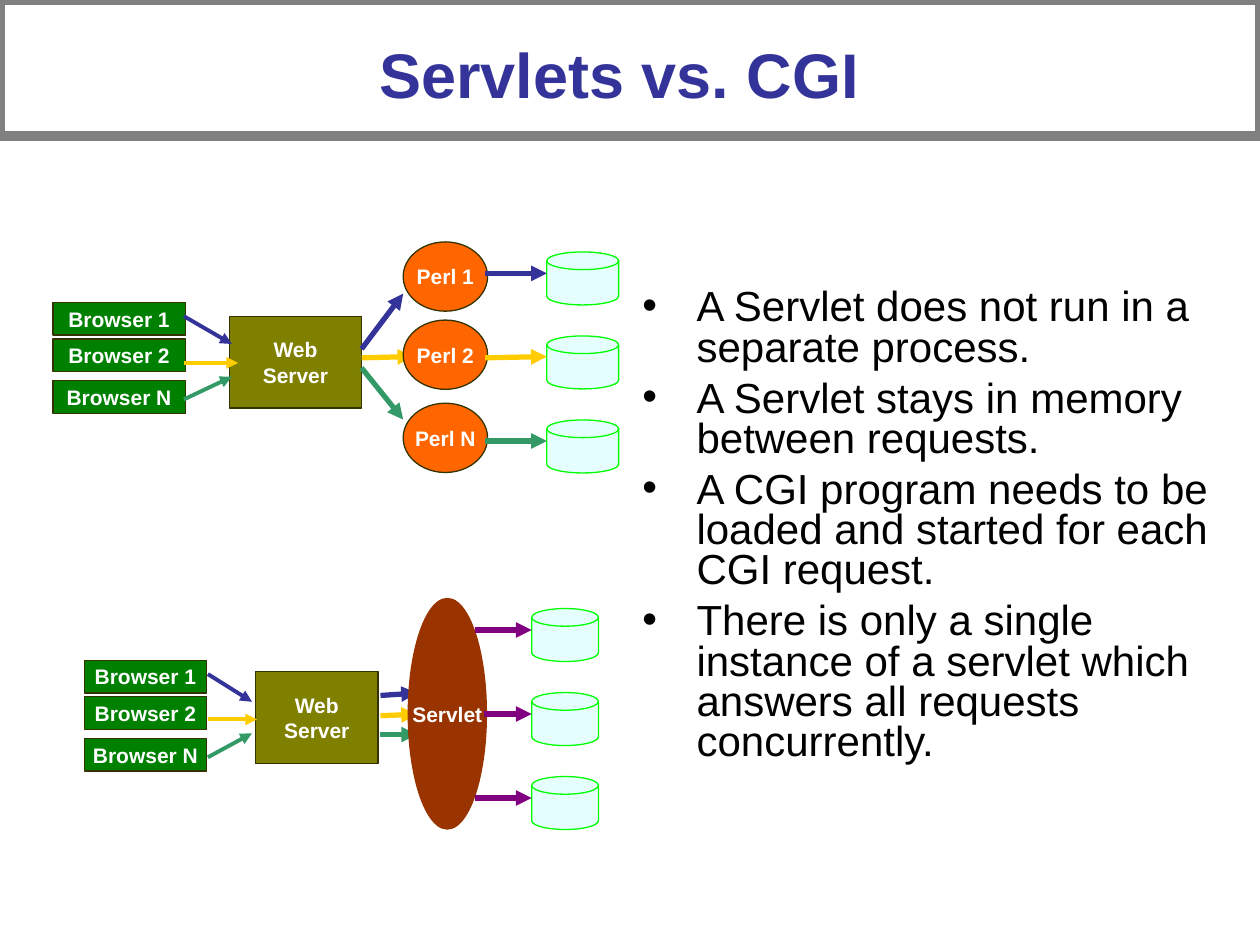
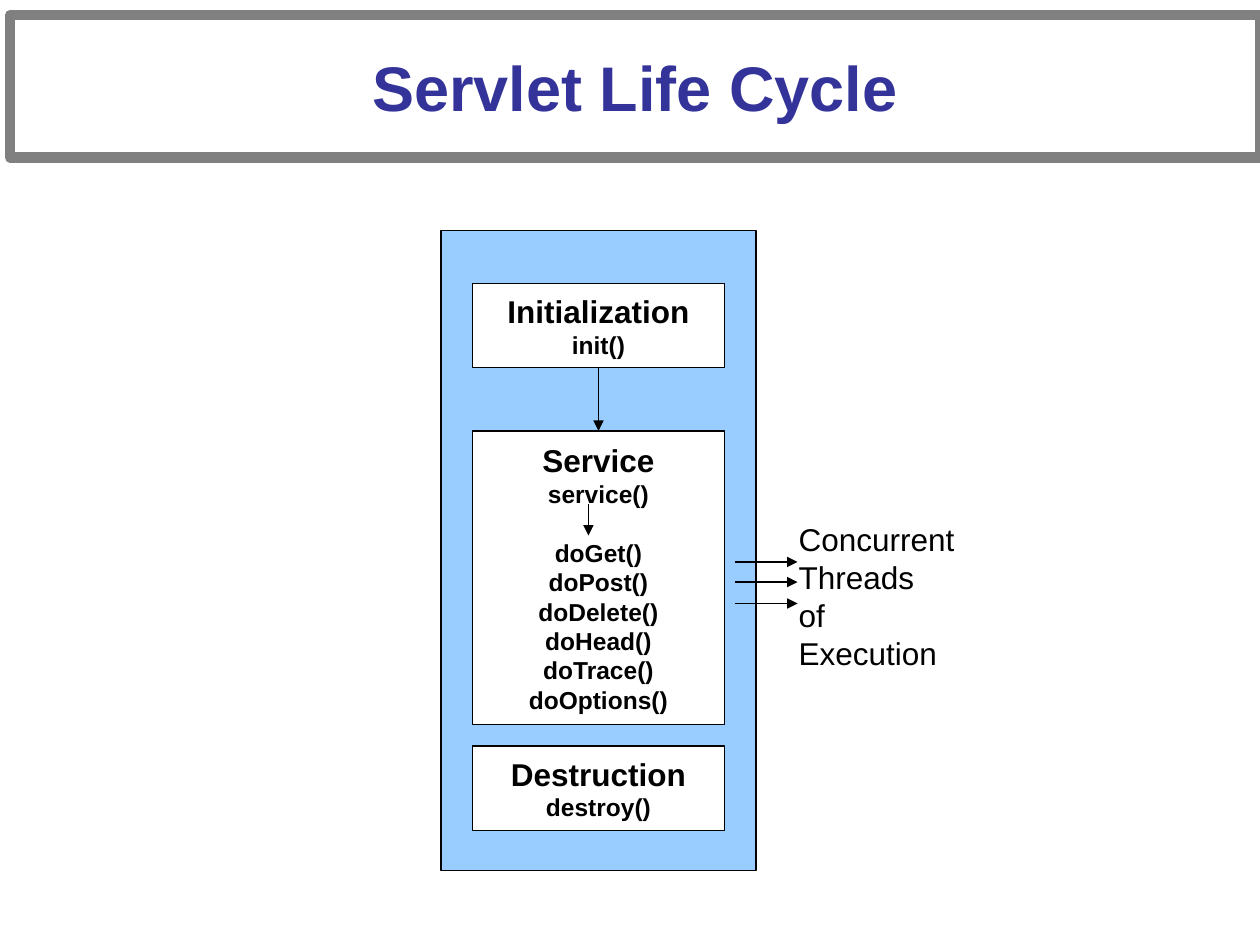
from lxml.etree import SubElement
from pptx import Presentation
from pptx.dml.color import RGBColor
from pptx.enum.shapes import MSO_CONNECTOR, MSO_SHAPE
from pptx.enum.text import MSO_ANCHOR, PP_ALIGN
from pptx.oxml.ns import qn
from pptx.util import Inches, Pt

COLORS = {
    "black": "000000", "white": "FFFFFF", "gray": "808080",
    "blue": "333399", "yellow": "FFCC00", "teal": "339966", "purple": "800080",
    "green": "008000", "olive": "808000", "bark": "333300",
    "orange": "FF6600", "brown": "993300",
    "ice": "CCFFFF", "lime": "00FF00", "sky": "99CCFF",
}
FONT = "Arial"
FRAME = {
    "margin_left": Inches(0.1), "margin_right": Inches(0.1),
    "margin_top": Inches(0.05), "margin_bottom": Inches(0.05),
    "vertical_anchor": MSO_ANCHOR.MIDDLE, "word_wrap": False,
}
LABEL = {"size": Pt(12), "bold": True, "color": "white"}
HEADING = {"size": Pt(18), "bold": True, "color": "black"}
METHOD = {**HEADING, "size": Pt(14)}
PLAIN = {"size": Pt(18), "bold": False, "color": "black"}
TITLE = {"size": Pt(36), "bold": True, "color": "blue"}
BULLET = {"size": Pt(24), "bold": False, "color": "black"}

BROWSERS = ("Browser 1", "Browser 2", "Browser N")
BROWSER_OFFSETS = (0, 0.29, 0.62)
REQUEST_COLORS = ("blue", "yellow", "teal")
DISK_PITCH = 2 / 3
CGI_POINTS = (
    "A Servlet does not run in a separate process.",
    "A Servlet stays in memory between requests.",
    "A CGI program needs to be loaded and started for each CGI request.",
    "There is only a single instance of a servlet which answers all requests concurrently.",
)
HANDLERS = ("doGet()", "doPost()", "doDelete()", "doHead()", "doTrace()", "doOptions()")


def rgb(name):
    return RGBColor.from_string(COLORS[name])


def apply(target, values):
    for name, value in values.items():
        setattr(target, name, value)


def write(shape, lines, align=PP_ALIGN.CENTER, **frame_changes):
    """Fill a shape with (text, font format) lines and return the paragraphs."""
    frame = shape.text_frame
    apply(frame, {**FRAME, **frame_changes})
    for index, (text, style) in enumerate(lines):
        paragraph = frame.add_paragraph() if index else frame.paragraphs[0]
        paragraph.alignment = align
        run = paragraph.add_run()
        run.text = text
        apply(run.font, {"name": FONT, "size": style["size"], "bold": style["bold"]})
        run.font.color.rgb = rgb(style["color"])
    return frame.paragraphs


def add_box(shapes, kind, place, fill, line, lines=(), line_width=0.75):
    shape = shapes.add_shape(kind, *map(Inches, place))
    shape.shadow.inherit = False
    if fill:
        shape.fill.solid()
        shape.fill.fore_color.rgb = rgb(fill)
    else:
        shape.fill.background()
    shape.line.color.rgb = rgb(line)
    shape.line.width = Pt(line_width)
    if lines:
        write(shape, lines)
    return shape


def add_arrow(shapes, start, end, color="black", width=0.75):
    arrow = shapes.add_connector(MSO_CONNECTOR.STRAIGHT, *map(Inches, start + end))
    arrow.line.color.rgb = rgb(color)
    arrow.line.width = Pt(width)
    SubElement(arrow.line._get_or_add_ln(), qn("a:tailEnd"), type="triangle")
    SubElement(arrow._element.spPr, qn("a:effectLst"))


def add_title(slide, text, place, **frame_changes):
    shape = add_box(slide.shapes, MSO_SHAPE.RECTANGLE, place, None, "gray", line_width=6)
    write(shape, [(text, TITLE)], word_wrap=True, **frame_changes)


def add_bullets(slide, place, points):
    box = slide.shapes.add_textbox(*map(Inches, place))
    paragraphs = write(box, [(point, BULLET) for point in points], PP_ALIGN.LEFT,
                       word_wrap=True, vertical_anchor=MSO_ANCHOR.TOP)
    for paragraph in paragraphs:
        apply(paragraph, {"line_spacing": 0.8, "space_before": Pt(6)})
        properties = paragraph._p.get_or_add_pPr()
        properties.set("marL", str(Inches(0.43)))
        properties.set("indent", str(-Inches(0.43)))
        color = SubElement(properties, qn("a:buClr"))
        SubElement(color, qn("a:srgbClr"), val=COLORS["black"])
        SubElement(properties, qn("a:buFont"), typeface=FONT)
        SubElement(properties, qn("a:buChar"), char="•")


def add_clients(shapes, left, top, width, server_place):
    """Three stacked browsers and the web server they call."""
    for name, offset in zip(BROWSERS, BROWSER_OFFSETS):
        add_box(shapes, MSO_SHAPE.RECTANGLE, (left, top + offset, width, 0.26),
                "green", "bark", [(name, LABEL)])
    add_box(shapes, MSO_SHAPE.RECTANGLE, server_place, "olive", "bark",
            [("Web", LABEL), ("Server", LABEL)])


def add_requests(shapes, routes, width):
    for color, (start, end) in zip(REQUEST_COLORS, routes):
        add_arrow(shapes, start, end, color, width)


def add_disks(shapes, left, top, width):
    for row in range(3):
        disk = add_box(shapes, MSO_SHAPE.FLOWCHART_MAGNETIC_DISK,
                       (left, top + row * DISK_PITCH, width, 0.42), "ice", "lime")
        fill_color = disk._element.spPr.find(qn("a:solidFill"))[0]
        SubElement(fill_color, qn("a:alpha"), val="50000")


def draw_cgi(slide):
    shapes = slide.shapes.add_group_shape().shapes
    add_clients(shapes, 0.42, 2.4, 1.05, (1.82, 2.51, 1.05, 0.73))
    add_requests(shapes, [((1.46, 2.51), (1.84, 2.73)),
                          ((1.46, 2.88), (1.89, 2.88)),
                          ((1.46, 3.17), (1.84, 2.99))], 2.25)
    add_requests(shapes, [((2.87, 2.77), (3.2, 2.33)),
                          ((2.87, 2.84), (3.28, 2.83)),
                          ((2.87, 2.92), (3.2, 3.33))], 3)
    for name, top in (("Perl 1", 1.92), ("Perl 2", 2.54), ("Perl N", 3.2)):
        add_box(shapes, MSO_SHAPE.OVAL, (3.2, top, 0.67, 0.55), "orange", "bark",
                [(name, LABEL)])
    add_disks(shapes, 4.34, 2, 0.57)
    add_requests(shapes, [((3.85, 2.17), (4.34, 2.17)),
                          ((3.85, 2.84), (4.34, 2.83)),
                          ((3.85, 3.5), (4.34, 3.5))], 3)


def draw_servlet(slide):
    shapes = slide.shapes.add_group_shape().shapes
    add_clients(shapes, 0.67, 5.24, 0.97, (2.03, 5.33, 0.97, 0.73))
    add_requests(shapes, [((1.65, 5.35), (2, 5.57)),
                          ((1.65, 5.71), (2.04, 5.71)),
                          ((1.65, 6.01), (2, 5.82))], 2.25)
    add_requests(shapes, [((3.02, 5.52), (3.31, 5.5)),
                          ((3.02, 5.68), (3.31, 5.67)),
                          ((3.02, 5.83), (3.31, 5.83))], 3)
    add_box(shapes, MSO_SHAPE.OVAL, (3.24, 4.75, 0.62, 1.83), "brown", "brown",
            [("Servlet", LABEL)])
    add_disks(shapes, 4.22, 4.83, 0.53)
    for row, start in enumerate((3.77, 3.84, 3.77)):
        y = 5 + row * DISK_PITCH
        add_arrow(shapes, (start, y), (4.22, y), "purple", 3)


def draw_life_cycle(slide):
    shapes = slide.shapes
    add_box(shapes, MSO_SHAPE.RECTANGLE, (3.5, 1.83, 2.5, 5.08), "sky", "black")
    stages = (
        (2.25, 0.67, "Initialization", ("init()",)),
        (3.42, 2.33, "Service", ("service()",) + HANDLERS),
        (5.92, 0.67, "Destruction", ("destroy()",)),
    )
    for top, height, name, methods in stages:
        lines = [(name, HEADING)] + [(method, METHOD) for method in methods]
        stage = add_box(shapes, MSO_SHAPE.RECTANGLE, (3.75, top, 2, height),
                        "white", "black", lines)
        # Room for the arrow from service() to its handlers
        for paragraph in stage.text_frame.paragraphs:
            if paragraph.text == HANDLERS[0]:
                paragraph.space_before = Pt(16.8)
    add_arrow(shapes, (4.75, 2.92), (4.75, 3.42))
    add_arrow(shapes, (4.67, 4), (4.67, 4.25))

    # Concurrent threads
    threads = shapes.add_group_shape().shapes
    for y in (4.46, 4.62, 4.79):
        add_arrow(threads, (5.83, y), (6.33, y))
    note = shapes.add_textbox(*map(Inches, (6.24, 4.08, 1.57, 1)))
    write(note, [(text, PLAIN) for text in ("Concurrent", "Threads", "of Execution")],
          PP_ALIGN.LEFT, vertical_anchor=MSO_ANCHOR.TOP)


def main():
    presentation = Presentation()
    presentation.slide_width, presentation.slide_height = Inches(10), Inches(7.5)
    blank = presentation.slide_layouts[6]

    # Servlets compared with CGI
    slide = presentation.slides.add_slide(blank)
    add_title(slide, "Servlets vs. CGI", (0, 0, 10, 1.08),
              margin_right=Inches(0.27), margin_top=Inches(0.13))
    add_bullets(slide, (5, 2.25, 4.75, 4.33), CGI_POINTS)
    draw_cgi(slide)
    draw_servlet(slide)

    # Life cycle
    slide = presentation.slides.add_slide(blank)
    add_title(slide, "Servlet Life Cycle", (0.08, 0.12, 9.92, 1.13))
    draw_life_cycle(slide)

    presentation.save("out.pptx")


if __name__ == "__main__":
    main()
